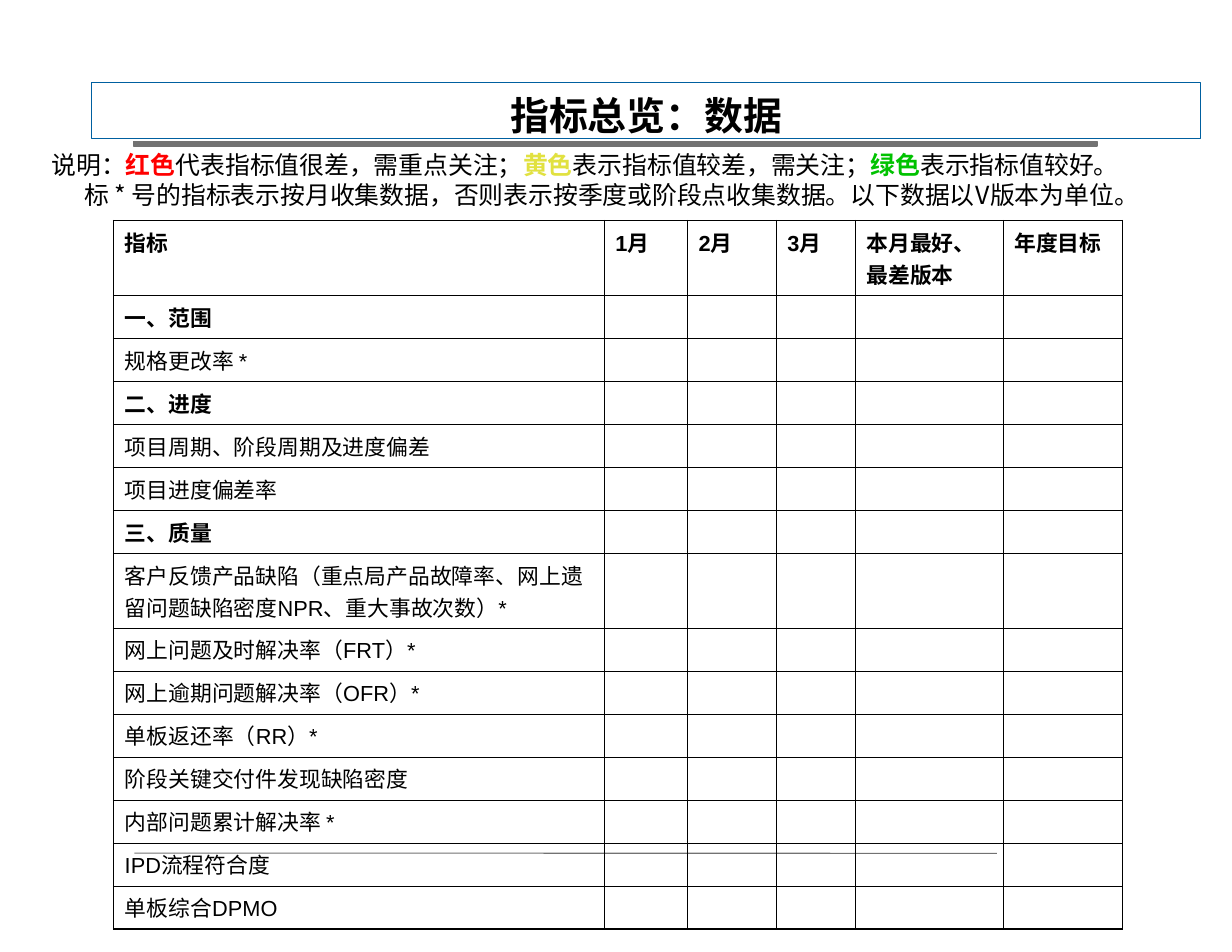
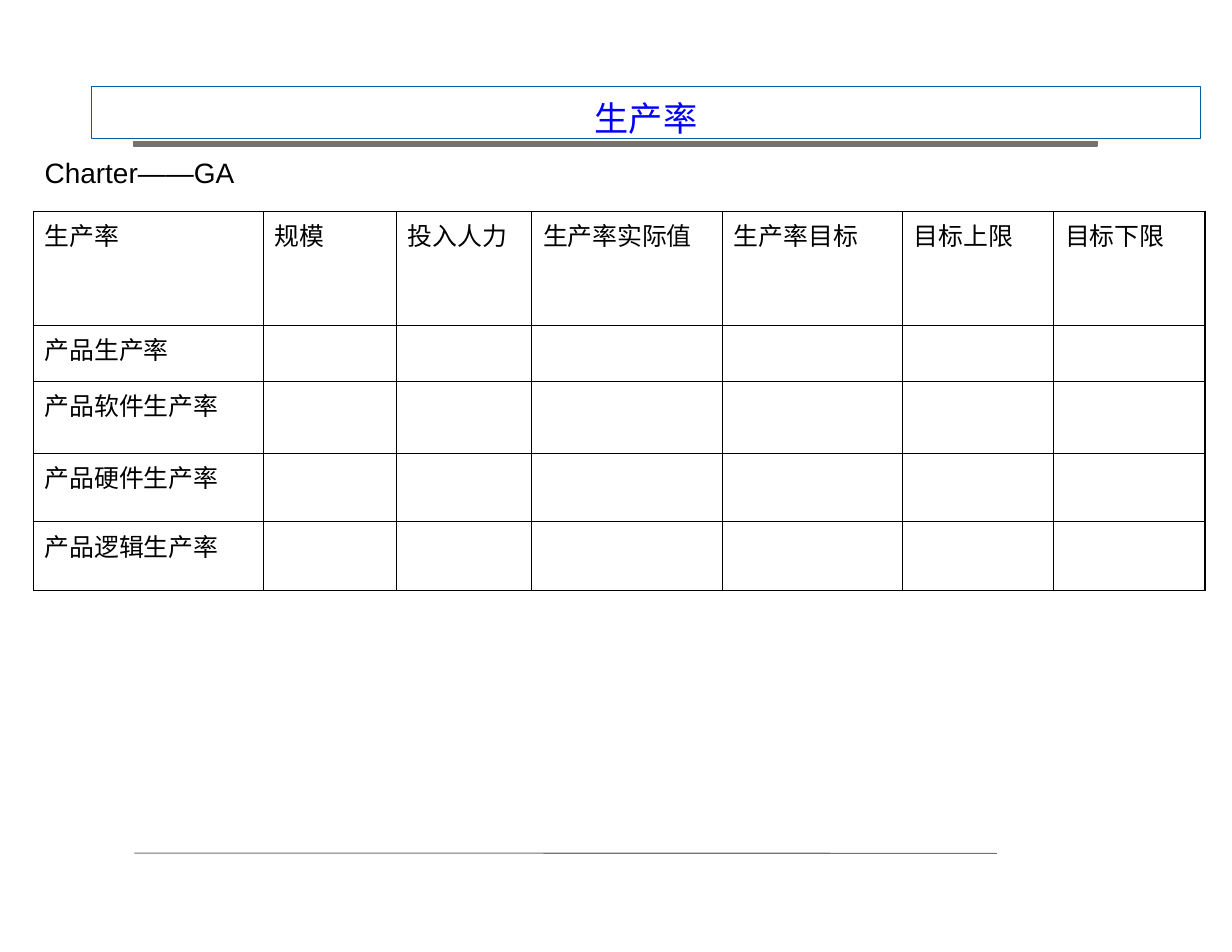
from lxml import etree
from pptx import Presentation
from pptx import util as u
from pptx.dml.color import RGBColor
from pptx.enum import shapes, text
from pptx.oxml.ns import qn

Pt = u.Pt
color = RGBColor.from_string
BLACK, GREY, BLUE = "000000", "727272", "0060A0"
CJK = "Noto Sans CJK SC"


def style(paragraph, size, name, hex_color=BLACK, bold=False):
    font = paragraph.font
    font.size, font.name, font.bold = Pt(size), name, bold
    font.color.rgb = color(hex_color)
    defaults = paragraph._p.pPr.find(qn("a:defRPr"))
    etree.SubElement(defaults, qn("a:ea"), typeface=CJK)
    if not paragraph.runs:
        etree.SubElement(paragraph._p, qn("a:endParaRPr"), sz=str(size * 100))


def set_borders(cell, widths):
    properties = cell._tc.get_or_add_tcPr()
    for index, (side, width) in enumerate(zip("LRTB", widths)):
        line = etree.Element(qn(f"a:ln{side}"), w=str(int(Pt(width))))
        fill = etree.SubElement(line, qn("a:solidFill"))
        etree.SubElement(fill, qn("a:srgbClr"), val=BLACK)
        properties.insert(index, line)


indicators = [
    "一、范围", "规格更改率 *",
    "二、进度", "项目周期、阶段周期及进度偏差", "项目进度偏差率",
    "三、质量", "客户反馈产品缺陷（重点局产品故障率、网上遗留问题缺陷密度NPR、重大事故次数）*",
    "网上问题及时解决率（FRT）*", "网上逾期问题解决率（OFR）*", "单板返还率（RR）*",
    "阶段关键交付件发现缺陷密度", "内部问题累计解决率 *", "IPD流程符合度", "单板综合DPMO",
]
tall, low = 48, 27.4
pages = [
    {
        "title": "指标总览：数据", "title_top": 53.3, "title_size": 25, "title_color": BLACK,
        "header": ["指标", "1月", "2月", "3月", "本月最好、最差版本", "年度目标"],
        "labels": indicators,
        "position": (73, 141.8),
        "columns": [315.4, 53.6, 57, 50.9, 95, 76.8],
        "rows": [tall] + [tall if "客户反馈" in label else low for label in indicators],
        "size": 14, "space_before": 3.5, "outer": 1.08, "inner": 0.45, "fill": None,
    },
    {
        "title": "生产率", "title_top": 55.6, "title_size": 22, "title_color": "0000FF",
        "header": ["生产率", "规模", "投入人力", "生产率实际值", "生产率目标", "目标上限", "目标下限"],
        "labels": ["产品生产率", "产品软件生产率", "产品硬件生产率", "产品逻辑生产率"],
        "position": (21.6, 136),
        "columns": [147.8, 85.5, 87, 122.7, 115.7, 97.2, 97.2],
        "rows": [73.3, 36, 46.2, 44, 44],
        "size": 16, "space_before": 0, "outer": 0.96, "inner": 0.96, "fill": "FFFFFF",
    },
]

presentation = Presentation()
presentation.slide_width, presentation.slide_height = Pt(792), Pt(612)

for page in pages:
    slide = presentation.slides.add_slide(presentation.slide_layouts[6])

    # Band under the title
    band = slide.shapes.add_shape(shapes.MSO_SHAPE.ROUNDED_RECTANGLE,
                                  Pt(85.8), Pt(91), Pt(619.4), Pt(2.9))
    band.adjustments[0] = 0
    band.shadow.inherit = False
    band.fill.solid()
    band.fill.fore_color.rgb = color(GREY)
    band.line.color.rgb = color(GREY)
    band.line.width = Pt(0.71)

    # Footer line
    footer = slide.shapes.add_connector(shapes.MSO_CONNECTOR.STRAIGHT,
                                        Pt(86.4), Pt(548.4), Pt(640.8), Pt(548.6))
    footer.line.color.rgb = color(GREY)
    footer.line.width = Pt(0.71)
    etree.SubElement(footer._element.spPr, qn("a:effectLst"))

    # Title box
    top = page["title_top"]
    title = slide.shapes.add_shape(shapes.MSO_SHAPE.RECTANGLE,
                                   Pt(59), Pt(top), Pt(712.8), Pt(89 - top))
    title.shadow.inherit = False
    title.fill.background()
    title.line.color.rgb = color(BLUE)
    title.line.width = Pt(0.71)
    frame = title.text_frame
    frame.word_wrap = True
    frame.vertical_anchor = text.MSO_ANCHOR.BOTTOM
    frame.margin_left = frame.margin_right = frame.margin_top = frame.margin_bottom = 0
    paragraph = frame.paragraphs[0]
    paragraph.text = page["title"]
    paragraph.alignment = text.PP_ALIGN.CENTER
    style(paragraph, page["title_size"], CJK, page["title_color"], page["title_color"] == BLACK)

    # Table
    grid = [page["header"]] + [[label] for label in page["labels"]]
    columns, rows = page["columns"], page["rows"]
    left, top = page["position"]
    table = slide.shapes.add_table(len(rows), len(columns), Pt(left), Pt(top),
                                   Pt(sum(columns)), Pt(sum(rows))).table
    table.first_row = table.horz_banding = False
    for column, width in zip(table.columns, columns):
        column.width = Pt(width)
    for row, height in zip(table.rows, rows):
        row.height = Pt(height)
    outer, inner = page["outer"], page["inner"]
    for r, values in enumerate(grid):
        bold = page["size"] == 14 and (r == 0 or values[0][1] == "、")
        for c in range(len(columns)):
            cell = table.cell(r, c)
            if page["fill"]:
                cell.fill.solid()
                cell.fill.fore_color.rgb = color(page["fill"])
            else:
                cell.fill.background()
            edges = (c == 0, c == len(columns) - 1, r == 0, r == len(rows) - 1)
            set_borders(cell, [outer if edge else inner for edge in edges])
            paragraph = cell.text_frame.paragraphs[0]
            if c < len(values):
                paragraph.text = values[c]
            paragraph.space_before = Pt(page["space_before"])
            style(paragraph, page["size"], "Arial", bold=bold)

overview, productivity = presentation.slides

# Colour legend above the indicator table
legend = overview.shapes.add_textbox(Pt(33.1), Pt(96.5), Pt(743), Pt(45.4)).text_frame
legend.word_wrap = True
legend.margin_left = legend.margin_right = legend.margin_top = legend.margin_bottom = 0
meaning = legend.paragraphs[0]
for words, hex_color in [
    ("说明：", None), ("红色", "FF0000"), ("代表指标值很差，需重点关注；", None),
    ("黄色", "E1E140"), ("表示指标值较差，需关注；", None),
    ("绿色", "00C200"), ("表示指标值较好。", None),
]:
    run = meaning.add_run()
    run.text = words
    if hex_color:
        run.font.bold = True
        run.font.color.rgb = color(hex_color)
frequency = legend.add_paragraph()
frequency.text = "标 * 号的指标表示按月收集数据，否则表示按季度或阶段点收集数据。以下数据以V版本为单位。"
frequency._p.get_or_add_pPr().set("marL", str(int(Pt(21))))
for paragraph in legend.paragraphs:
    style(paragraph, 16, CJK)

# Phase label above the productivity table
phase = productivity.shapes.add_textbox(Pt(21.6), Pt(96.5), Pt(150), Pt(28.8)).text_frame
phase.word_wrap = True
phase.paragraphs[0].text = "Charter——GA"
style(phase.paragraphs[0], 18, "Arial")

presentation.save("out.pptx")
